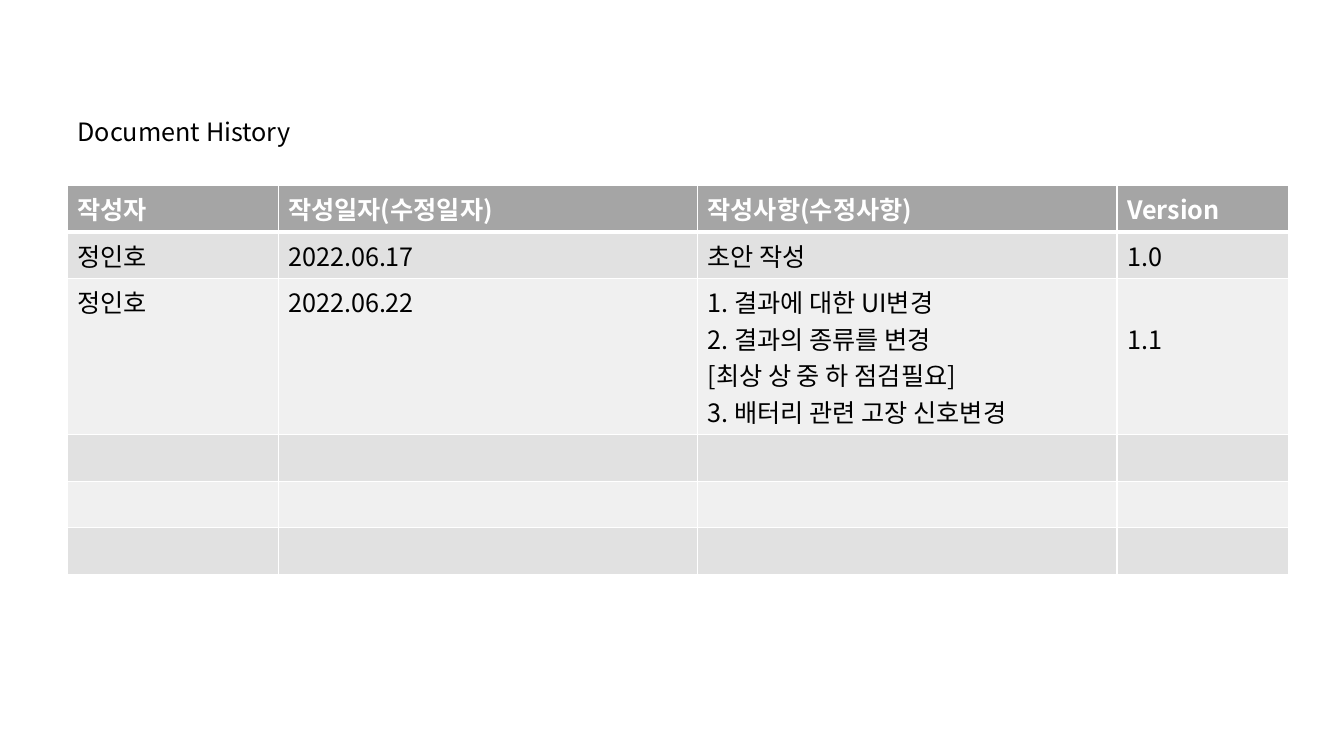
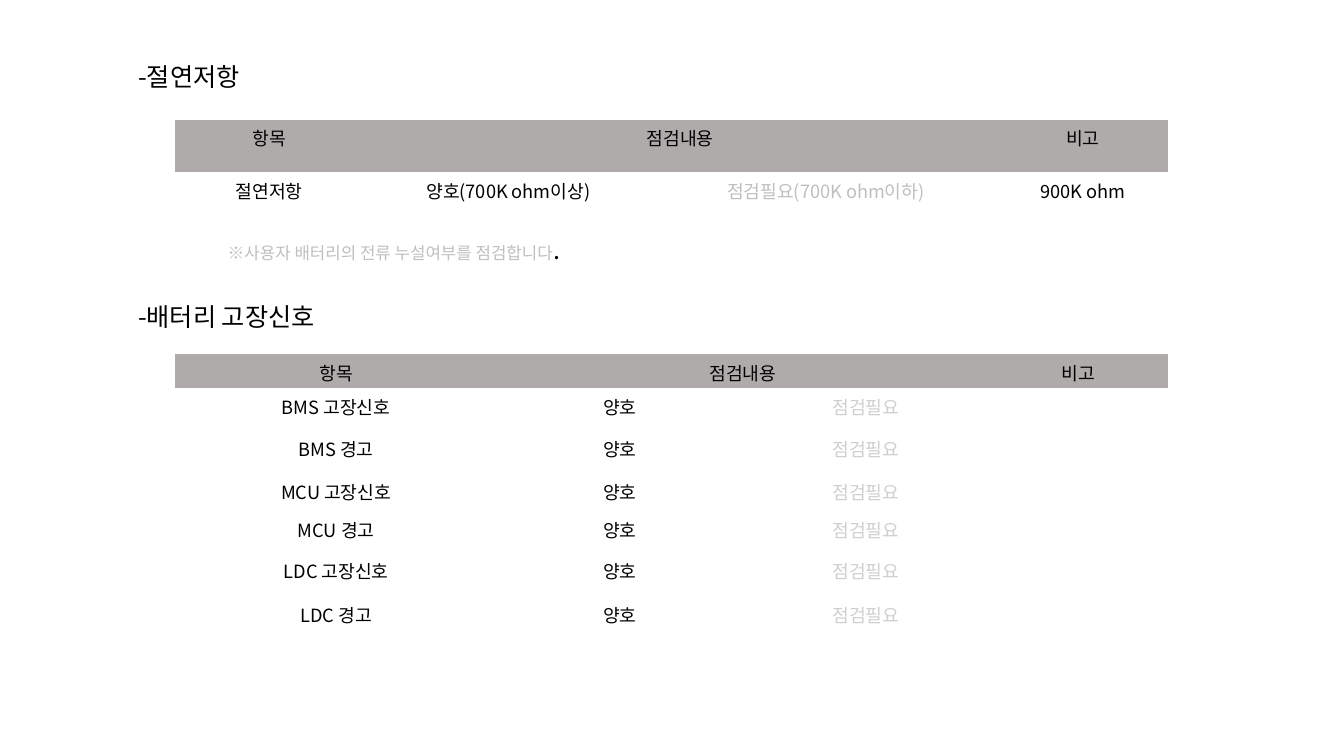
from lxml.etree import SubElement
from pptx import Presentation
from pptx.dml.color import RGBColor
from pptx.enum.text import MSO_ANCHOR, MSO_AUTO_SIZE, PP_ALIGN
from pptx.oxml.ns import qn
from pptx.util import Cm, Pt

FONT = "Noto Sans CJK KR"
COLORS = {
    "text": "000000",
    "white": "FFFFFF",
    "history_header": "A5A5A5",
    "band_dark": "E1E1E1",
    "band_light": "F0F0F0",
    "check_header": "AFABAB",
    "note": "BFBFBF",
    "inactive": "D0CECE",
}
NO_GRID_STYLE = "{2D5ABB26-0587-4C30-8999-92F81FD0307C}"
HEADING_SIZE = 18
CHECK_SIZE = 13
NOTE_SIZE = 12


def rgb(color):
    return RGBColor.from_string(COLORS[color])


def format_run(run, size, color="text", bold=False):
    run.font.size = Pt(size)
    run.font.bold = bold
    run.font.color.rgb = rgb(color)
    run.font.name = FONT
    SubElement(run.font._element, qn("a:ea"), typeface=FONT)


def write(frame, text, size, color="text", bold=False, align=PP_ALIGN.LEFT):
    frame.text = text
    for paragraph in frame.paragraphs:
        paragraph.alignment = align
        for run in paragraph.runs:
            format_run(run, size, color, bold)
        if not paragraph.runs:
            SubElement(paragraph._p, qn("a:endParaRPr"), sz=str(size * 100))


def add_titled_slide(deck, title, left, top, width):
    slide = deck.slides.add_slide(deck.slide_layouts[5])
    heading = slide.shapes.title
    heading.left, heading.top = Cm(left), Cm(top)
    heading.width, heading.height = Cm(width), Cm(1.17)
    frame = heading.text_frame
    frame.word_wrap = True
    frame.auto_size = MSO_AUTO_SIZE.NONE
    frame.vertical_anchor = MSO_ANCHOR.TOP
    write(frame, title, HEADING_SIZE)
    return slide


def add_text(slide, text, left, top, width, height, size, color="text"):
    frame = slide.shapes.add_textbox(Cm(left), Cm(top), Cm(width), Cm(height)).text_frame
    frame.word_wrap = True
    write(frame, text, size, color)
    return frame


def add_plain_table(slide, left, top, widths, heights):
    table = slide.shapes.add_table(
        len(heights), len(widths), Cm(left), Cm(top), Cm(sum(widths)), Cm(sum(heights))
    ).table
    table._tbl.tblPr.find(qn("a:tableStyleId")).text = NO_GRID_STYLE
    table.horz_banding = False
    for column, width in zip(table.columns, widths):
        column.width = Cm(width)
    for row, height in zip(table.rows, heights):
        row.height = Cm(height)
    return table


def fill_cell(cell, color):
    cell.fill.solid()
    cell.fill.fore_color.rgb = rgb(color)


def add_borders(cell, top, bottom):
    properties = cell._tc.get_or_add_tcPr()
    for side, points in (("L", 1), ("R", 1), ("T", top), ("B", bottom)):
        border = SubElement(properties, qn(f"a:ln{side}"), w=str(Pt(points)))
        fill = SubElement(border, qn("a:solidFill"))
        SubElement(fill, qn("a:srgbClr"), val=COLORS["white"])


def add_history_table(slide, entries):
    heights = [1.17, 1.17, 3.94, 1.17, 1.17, 1.17]
    table = add_plain_table(slide, 1.7, 4.67, [5.31, 10.57, 10.57, 4.32], heights)
    blank = [""] * len(table.columns)
    rows = entries + [blank] * (len(heights) - len(entries))
    for r, entry in enumerate(rows):
        is_header = r == 0
        band = "band_dark" if r % 2 else "band_light"
        for c, text in enumerate(entry):
            cell = table.cell(r, c)
            write(cell.text_frame, text, HEADING_SIZE, "white" if is_header else "text", is_header)
            add_borders(cell, 3 if r == 1 else 1, 3 if is_header else 1)
            fill_cell(cell, "history_header" if is_header else band)
    return table


def add_check_table(slide, top, widths, heights, checks, inactive):
    table = add_plain_table(slide, 4.42, top, widths, heights)
    for r, check in enumerate([["항목", "점검내용", "", "비고"]] + checks):
        for c, text in enumerate(check):
            cell = table.cell(r, c)
            cell.margin_bottom = 0
            color = inactive if r and c == 2 else "text"
            write(cell.text_frame, text, CHECK_SIZE, color, align=PP_ALIGN.CENTER)
            if r == 0:
                fill_cell(cell, "check_header")
            else:
                cell.fill.background()
    table.cell(0, 1).merge(table.cell(0, 2))


def build_history(deck):
    slide = add_titled_slide(deck, "Document History", 1.7, 2.8, 10.67)
    changes = "\n".join([
        "1. 결과에 대한 UI변경",
        "2. 결과의 종류를 변경",
        "[최상 상 중 하 점검필요]",
        "3. 배터리 관련 고장 신호변경",
    ])
    table = add_history_table(slide, [
        ["작성자", "작성일자(수정일자)", "작성사항(수정사항)", "Version"],
        ["정인호", "2022.06.17", "초안 작성", "1.0"],
        ["정인호", "2022.06.22", changes, "1.1"],
    ])
    table.cell(2, 3).margin_top = Cm(1.05)


def build_checks(deck):
    slide = add_titled_slide(deck, "-절연저항", 3.23, 1.43, 22.23)
    add_check_table(
        slide, 3.02, [4.72, 7.34, 8.66, 4.29], [1.32, 1.37],
        [["절연저항", "양호(700K ohm이상)", "점검필요(700K ohm이하)", "900K ohm"]], "note",
    )
    note = add_text(
        slide, "※사용자 배터리의 전류 누설여부를 점검합니다", 5.49, 5.79, 21.82, 1.17, NOTE_SIZE, "note"
    )
    period = note.paragraphs[0].add_run()
    period.text = "."
    format_run(period, HEADING_SIZE)

    fault_heading = add_text(slide, "-배터리 고장신호", 3.23, 7.32, 21.82, 1.4, HEADING_SIZE)
    fault_heading.vertical_anchor = MSO_ANCHOR.MIDDLE
    fault_heading.paragraphs[0].line_spacing = 0.9
    signals = [
        [f"{unit} {signal}", "양호", "점검필요", ""]
        for unit in ("BMS", "MCU", "LDC")
        for signal in ("고장신호", "경고")
    ]
    add_check_table(
        slide, 8.92, [8.1, 6.2, 6.2, 4.52],
        [0.86, 1.07, 1.07, 0.97, 1.02, 1.12, 1.12], signals, "inactive",
    )


def main():
    deck = Presentation()
    deck.slide_width, deck.slide_height = Cm(33.87), Cm(19.05)
    build_history(deck)
    build_checks(deck)
    deck.save("out.pptx")


if __name__ == "__main__":
    main()
